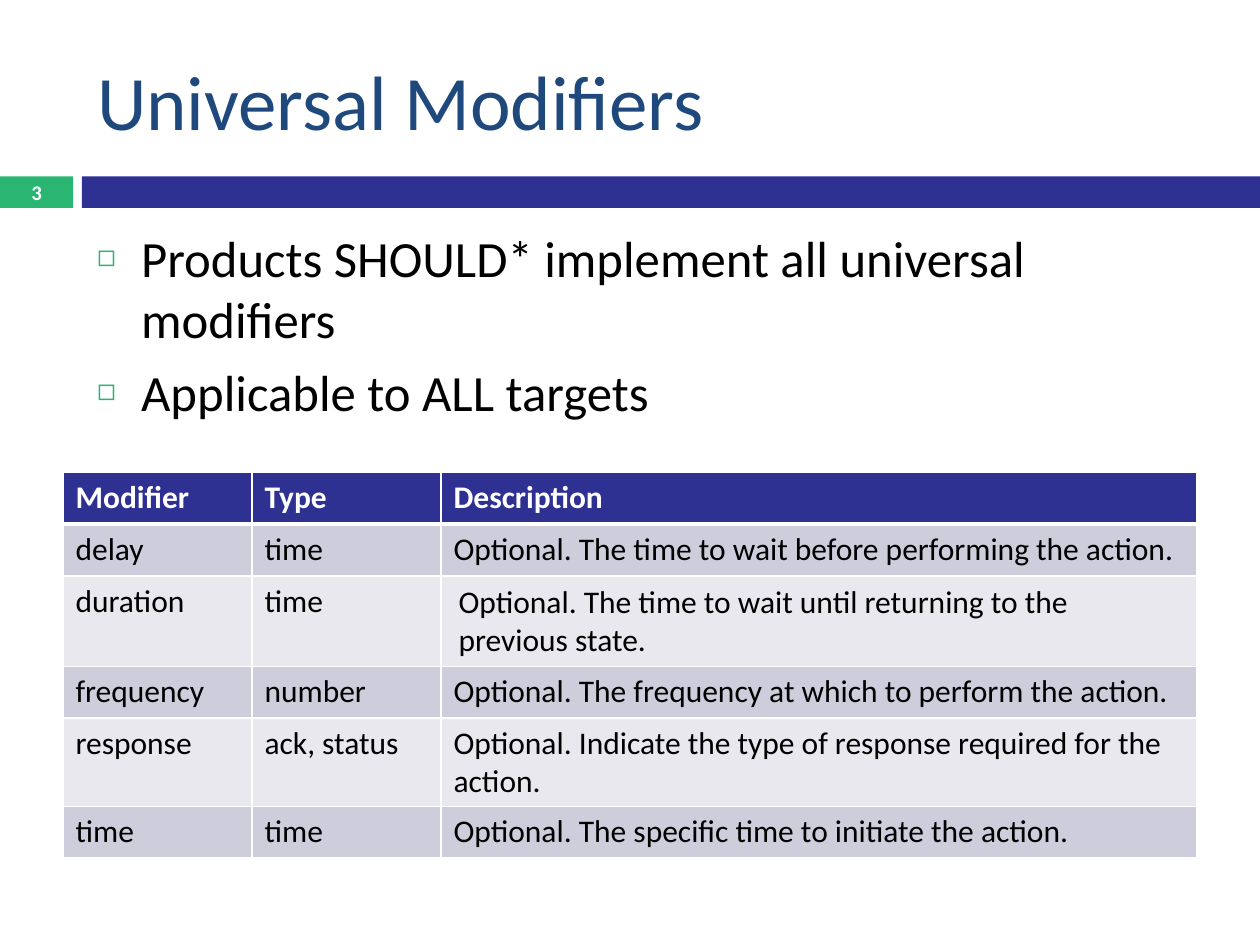
from lxml.etree import SubElement as Sub
from pptx import Presentation
from pptx.dml.color import RGBColor as RGB
from pptx.enum.shapes import MSO_SHAPE as Kind
from pptx.enum.text import MSO_ANCHOR as Anchor, MSO_AUTO_SIZE as Auto, PP_ALIGN as Align
from pptx.oxml.ns import qn
from pptx.util import Inches, Pt

TITLE = "Universal Modifiers"
PAGE = "3"
POINTS = ["Products SHOULD* implement all universal modifiers", "Applicable to ALL targets"]
HEAD = ("Modifier", "Type", "Description")
ROWS = [
    ("delay", "time", "Optional. The time to wait before performing the action."),
    ("duration", "time", "Optional. The time to wait until returning to the previous state."),
    ("frequency", "number", "Optional. The frequency at which to perform the action."),
    ("response", "ack, status", "Optional. Indicate the type of response required for the action."),
    ("time", "time", "Optional. The specific time to initiate the action."),
]
COLS = (1.5, 1.5, 6)
ROW_H = 0.41
INSET = (2, 2)

THEME = {
    "font": "Calibri",
    "green": "2AB573", "navy": "2E3092", "white": "FFFFFF",
    "bands": ("CDCDDC", "E8E8EE"),
    "title": {"size": 44, "color": "1F497D"},
    "body": {"size": 29, "color": "000000"},
    "page": {"size": 11.9, "color": "FFFFFF", "bold": True},
    "head": {"size": 18, "color": "FFFFFF", "bold": True},
    "cell": {"size": 18, "color": "000000", "bold": False},
}


def put(item, vals):
    for key, val in vals.items():
        setattr(item, key, val)


def box(*nums):
    return dict(zip(("left", "top", "width", "height"), map(Inches, nums)))


def style(para, look):
    spec = THEME[look]
    put(para.font, {"name": THEME["font"], "size": Pt(spec["size"]), "bold": spec.get("bold", False)})
    para.font.color.rgb = RGB.from_string(spec["color"])


def paint(item, color):
    item.fill.solid()
    item.fill.fore_color.rgb = RGB.from_string(color)


def band(slide, place, color):
    bar = slide.shapes.add_shape(Kind.RECTANGLE, **place)
    bar.shadow.inherit = False
    paint(bar, color)
    bar.line.fill.background()


def bullet(para):
    props = para._p.get_or_add_pPr()
    put_in = {"marL": Inches(0.35), "indent": Inches(-0.35)}
    for key, val in put_in.items():
        props.set(key, str(int(val)))
    Sub(Sub(props, qn("a:buClr")), qn("a:srgbClr"), val=THEME["green"])
    Sub(props, qn("a:buSzPct"), val="60000")
    Sub(props, qn("a:buChar"), char="◻")


def edge(cell, first):
    props = cell._tc.get_or_add_tcPr()
    for spot, side in enumerate("LRTB"):
        wide = 3 if first and side == "B" else 1
        line = props.makeelement(qn(f"a:ln{side}"), {"w": str(Pt(wide))})
        Sub(Sub(line, qn("a:solidFill")), qn("a:srgbClr"), val=THEME["white"])
        props.insert(spot, line)


def grid(slide):
    data = [HEAD, *ROWS]
    place = box(0.5, 3.75, sum(COLS), ROW_H * len(data))
    table = slide.shapes.add_table(len(data), len(COLS), **place).table
    for col, wide in zip(table.columns, COLS):
        col.width = Inches(wide)
    for r, row in enumerate(data):
        table.rows[r].height = Inches(ROW_H)
        for c, words in enumerate(row):
            cell = table.cell(r, c)
            cell.text = words
            style(cell.text_frame.paragraphs[0], "cell" if r else "head")
            paint(cell, THEME["bands"][(r - 1) % 2] if r else THEME["navy"])
            edge(cell, r == 0)
            if (r, c) == INSET:
                put(cell, {"vertical_anchor": Anchor.MIDDLE,
                           "margin_left": Inches(0.14), "margin_right": Inches(0.14),
                           "margin_top": Inches(0.06), "margin_bottom": Inches(0.06)})


def main():
    deck = Presentation()
    put(deck, {"slide_width": Inches(10), "slide_height": Inches(7.5)})
    slide = deck.slides.add_slide(deck.slide_layouts[1])
    title, body = slide.placeholders

    put(title, box(0.67, 0.25, 8.92, 1.08))
    title.text = TITLE
    put(title.text_frame, {"vertical_anchor": Anchor.MIDDLE, "auto_size": Auto.NONE})
    para = title.text_frame.paragraphs[0]
    para.alignment = Align.LEFT
    style(para, "title")

    put(body, box(0.67, 1.75, 8.92, 4.92))
    body.text = "\n".join(POINTS)
    body.text_frame.auto_size = Auto.NONE
    for n, para in enumerate(body.text_frame.paragraphs):
        bullet(para)
        para.space_before = Pt(7 if n else 0)
        style(para, "body")

    band(slide, box(0, 1.4, 0.58, 0.25), THEME["green"])
    band(slide, box(0.65, 1.4, 9.35, 0.25), THEME["navy"])
    page = slide.shapes.add_textbox(**box(0, 1.39, 0.58, 0.27))
    frame = page.text_frame
    put(frame, {"text": PAGE, "word_wrap": True, "vertical_anchor": Anchor.MIDDLE,
                "margin_top": 0, "margin_bottom": 0})
    frame.paragraphs[0].alignment = Align.CENTER
    style(frame.paragraphs[0], "page")

    grid(slide)
    deck.save("out.pptx")


if __name__ == "__main__":
    main()
